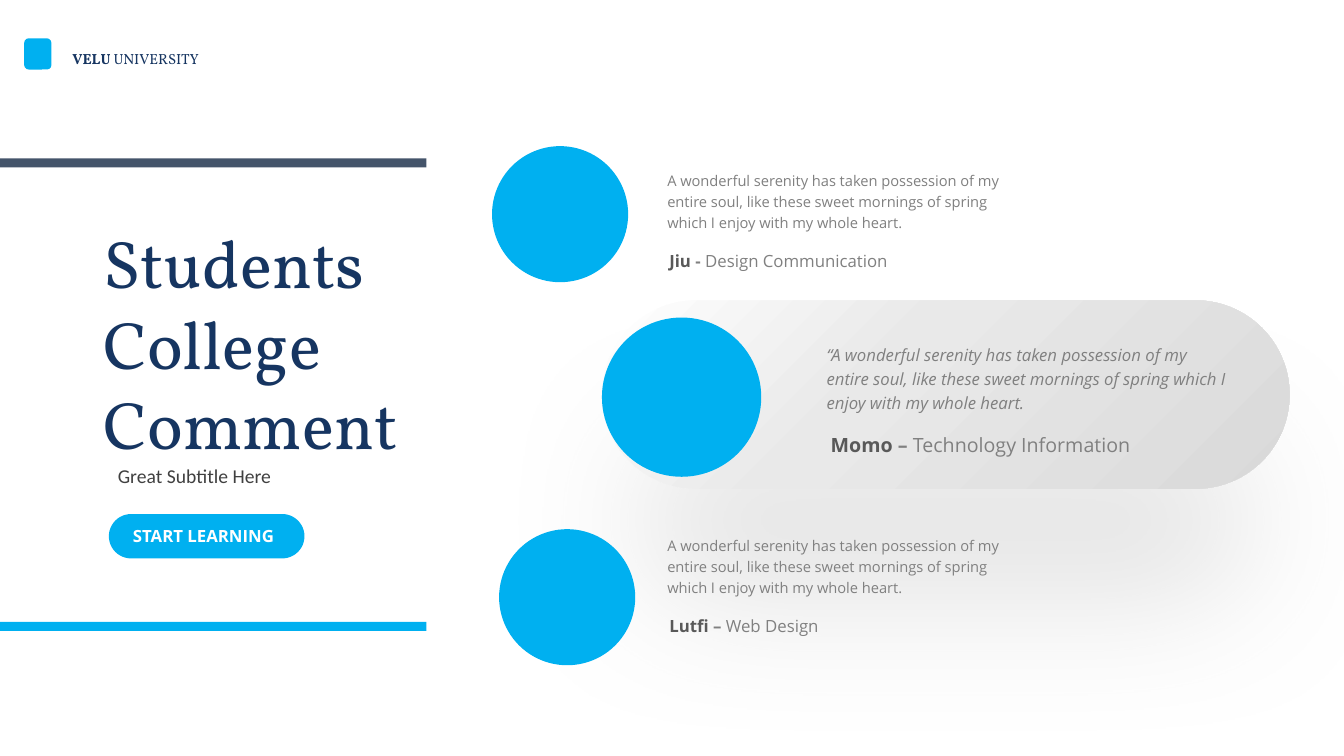
import pptx
import pptx.dml.color
import pptx.enum.shapes
import pptx.enum.text
import pptx.oxml
import pptx.oxml.ns
import pptx.util

Inches = pptx.util.Inches
SHAPES = pptx.enum.shapes.MSO_SHAPE
ANCHOR = pptx.enum.text.MSO_ANCHOR
qn = pptx.oxml.ns.qn
NS = pptx.oxml.ns.nsdecls("a")


def rgb(value):
    return pptx.dml.color.RGBColor.from_string(value)


class Deck:
    BLUE, NAVY, SLATE = "00B0F0", "163561", "44546A"
    DARK, INK, GREY, WHITE = "404040", "595959", "808080", "FFFFFF"
    SERIF, SANS, PLAIN = "Vollkorn", "Open Sans", "Calibri"

    def __init__(self, slide):
        self.slide = slide

    def shape(self, kind, left, top, width, height, color=BLUE):
        item = self.slide.shapes.add_shape(
            kind, Inches(left), Inches(top), Inches(width), Inches(height))
        item.shadow.inherit = False
        item.fill.solid()
        item.fill.fore_color.rgb = rgb(color)
        item.line.fill.background()
        return item

    def circle(self, left, top, size):
        return self.shape(SHAPES.OVAL, left, top, size, size)

    def bar(self, top, color):
        return self.shape(SHAPES.RECTANGLE, 0, top, 4.23, 0.09, color)

    def pill(self, left, top, width, height):
        item = self.shape(SHAPES.ROUNDED_RECTANGLE, left, top, width, height)
        item.adjustments[0] = 0.5
        return item

    def gradient(self, item, stops, angle):
        marks = "".join(
            f'<a:gs pos="{pos * 1000}"><a:srgbClr val="{color}"/></a:gs>'
            for pos, color in stops)
        gradient = pptx.oxml.parse_xml(
            f'<a:gradFill {NS} rotWithShape="1"><a:gsLst>{marks}</a:gsLst>'
            f'<a:lin ang="{angle * 60000}" scaled="0"/></a:gradFill>')
        properties = item.element.spPr
        properties.replace(properties.find(qn("a:solidFill")), gradient)

    def soft_shadow(self, item, color, alpha, blur, distance, scale):
        item.element.spPr.find(qn("a:effectLst")).append(pptx.oxml.parse_xml(
            f'<a:outerShdw {NS} blurRad="{pptx.util.Pt(blur)}" '
            f'dist="{pptx.util.Pt(distance)}" dir="5400000" '
            f'sx="{scale * 1000}" sy="{scale * 1000}" algn="ctr" '
            f'rotWithShape="0"><a:srgbClr val="{color}">'
            f'<a:alpha val="{alpha * 1000}"/></a:srgbClr></a:outerShdw>'))

    def text(self, left, top, width, height, runs, size, font=SANS,
             italic=False, spacing=None, anchor=ANCHOR.TOP):
        """Each run is (words, color, bold)."""
        frame = self.slide.shapes.add_textbox(
            Inches(left), Inches(top), Inches(width), Inches(height)).text_frame
        frame.word_wrap = True
        frame.vertical_anchor = anchor
        paragraph = frame.paragraphs[0]
        if spacing:
            paragraph.line_spacing = spacing
        for words, color, bold in runs:
            run = paragraph.add_run()
            run.text = words
            run.font.name = font
            run.font.size = pptx.util.Pt(size)
            run.font.color.rgb = rgb(color)
            run.font.bold = bold
            run.font.italic = italic

    def quote(self, left, top, width, height, words, size, italic=False):
        self.text(left, top, width, height, [(words, self.GREY, False)], size,
                  italic=italic, spacing=1.2)

    def signature(self, left, top, width, name, dash, subject, size):
        self.text(left, top, width, 0.3, [
            (f"{name} ", self.INK, True),
            (f"{dash} ", self.GREY, True),
            (subject, self.GREY, False)], size)


presentation = pptx.Presentation()
presentation.slide_width = Inches(13.33)
presentation.slide_height = Inches(7.5)
deck = Deck(presentation.slides.add_slide(presentation.slide_layouts[6]))

QUOTE = ("A wonderful serenity has taken possession of my entire soul, like these "
         "sweet mornings of spring which I enjoy with my whole heart.")

# Highlighted comment panel, behind the other comments
panel = deck.pill(5.97, 2.98, 6.82, 1.87)
deck.gradient(panel, [(0, "FFFFFF"), (40, "E9E9E9"), (100, "D9D9D9")], 45)
deck.soft_shadow(panel, "BFBFBF", alpha=40, blur=100, distance=90, scale=90)
deck.circle(5.97, 3.15, 1.58)
deck.quote(8.1, 3.33, 4.17, 0.81, "\u201c" + QUOTE, 12, italic=True)
deck.signature(8.14, 4.25, 3.69, "Momo", "\u2013", "Technology Information", 14)

# Comments above and below the panel
for circle_left, circle_top, quote_top, name, dash, subject in [
        (4.88, 1.45, 1.62, "Jiu", "-", "Design Communication"),
        (4.95, 5.25, 5.24, "Lutfi", "\u2013", "Web Design")]:
    deck.circle(circle_left, circle_top, 1.35)
    deck.quote(6.52, quote_top, 3.65, 0.72, QUOTE, 10.5)
    deck.signature(6.54, quote_top + 0.82, 2.77, name, dash, subject, 12)

# Title block between two bars
deck.bar(1.57, deck.SLATE)
deck.bar(6.17, deck.BLUE)
deck.text(0.93, 2.03, 4.01, 2.73, [("Students College Comment", deck.NAVY, False)],
          48, deck.SERIF, anchor=ANCHOR.MIDDLE)
deck.text(1.07, 4.55, 3.62, 0.34, [("Great Subtitle Here", deck.DARK, False)],
          14, deck.PLAIN)

# Button
deck.pill(1.08, 5.1, 1.94, 0.44)
deck.text(1.22, 5.17, 1.7, 0.3, [("START LEARNING", deck.WHITE, True)], 12)

# University name with a plain emblem
deck.shape(SHAPES.ROUNDED_RECTANGLE, 0.24, 0.38, 0.27, 0.31)
deck.text(0.62, 0.44, 1.51, 0.28, [
    ("VELU ", deck.NAVY, True), ("UNIVERSITY", deck.NAVY, False)], 10.5, deck.SERIF)

presentation.save("out.pptx")
